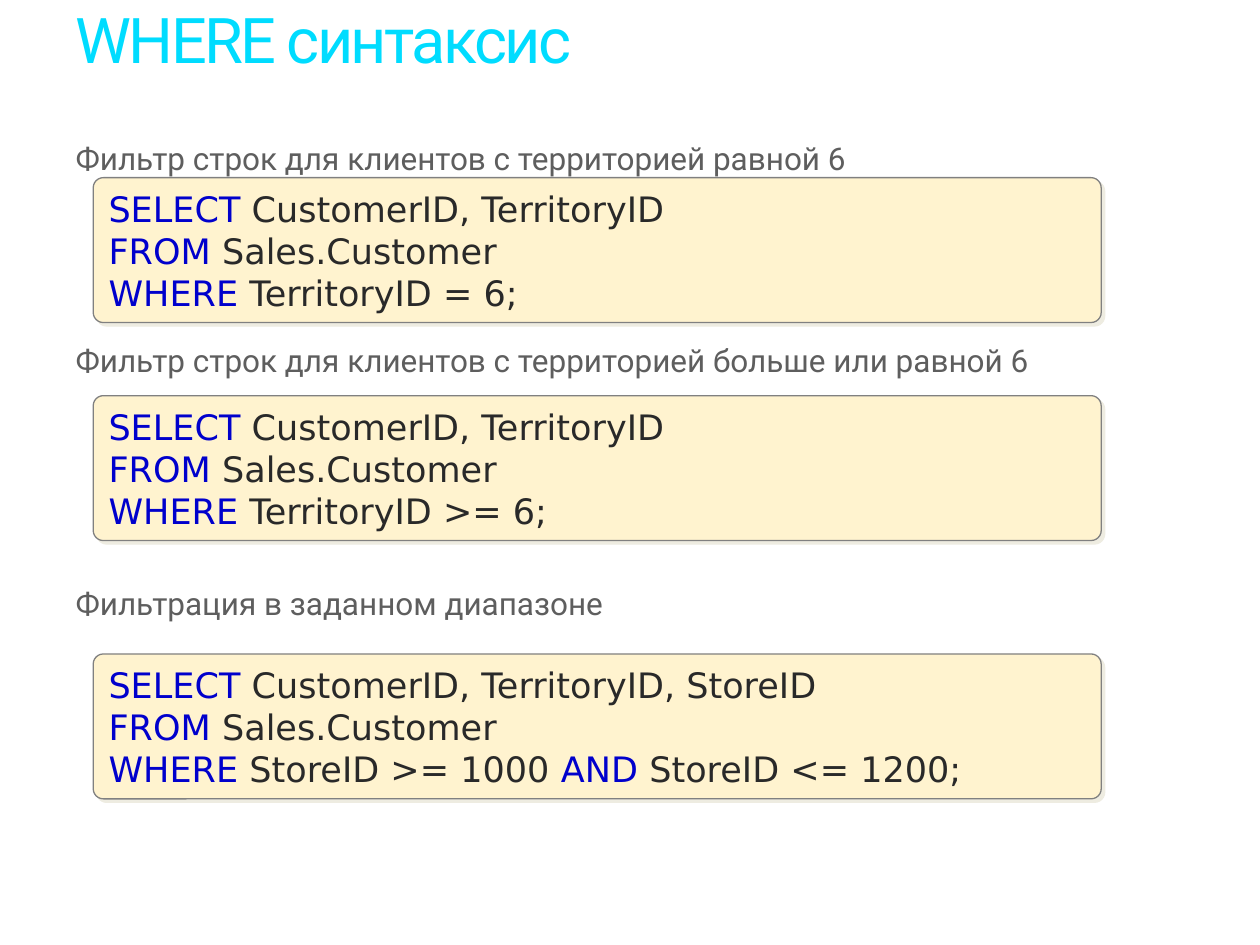
import itertools
import lxml.etree
import pptx
import pptx.dml.color
import pptx.enum.shapes
import pptx.enum.text
import pptx.oxml
import pptx.oxml.ns
import pptx.util

Pt, Inches = pptx.util.Pt, pptx.util.Inches
RGB = pptx.dml.color.RGBColor.from_string
ANCHOR = pptx.enum.text.MSO_ANCHOR
LEFT = pptx.enum.text.PP_ALIGN.LEFT
qn = pptx.oxml.ns.qn

THEME = {
    "title": ("Roboto", 36, "00DCFF"),
    "body": ("Roboto", 18, "5E5E5E"),
    "code": ("DejaVu Sans", 20, "292929"),
    "keyword": ("DejaVu Sans", 20, "0000CC"),
    "box": "FFF3CF",
    "border": "808080",
    "shadow": "EEECE1",
}
KEYWORDS = {"SELECT", "FROM", "WHERE", "AND"}
BODY_STEP, BODY_LINE = 23, 19  # points: row pitch and line height of the list

# Caption, list rows below the previous caption, box top in inches, query
EXAMPLES = [
    ("Фильтр строк для клиентов с территорией равной 6", 0, 1.41,
     ["SELECT CustomerID, TerritoryID", "FROM Sales.Customer",
      "WHERE TerritoryID = 6;"]),
    ("Фильтр строк для клиентов с территорией больше или равной 6", 5, 3.14,
     ["SELECT CustomerID, TerritoryID", "FROM Sales.Customer",
      "WHERE TerritoryID >= 6;"]),
    ("Фильтрация в заданном диапазоне", 6, 5.19,
     ["SELECT CustomerID, TerritoryID, StoreID", "FROM Sales.Customer",
      "WHERE StoreID >= 1000 AND StoreID <= 1200;"]),
]


def style(r, role):
    name, size, color = THEME[role]
    r.font.name, r.font.size = name, Pt(size)
    r.font.color.rgb = RGB(color)


def place(sp, left, top, width, height):
    sp.left, sp.top = Inches(left), Inches(top)
    sp.width, sp.height = Inches(width), Inches(height)


prs = pptx.Presentation()
prs.slide_width, prs.slide_height = Inches(10), Inches(7.5)
s = prs.slides.add_slide(prs.slide_layouts[1])

# Title
title = s.shapes.title
place(title, 0.5, 0, 8.5, 0.81)
tf = title.text_frame
tf.text = "WHERE синтаксис"
tf.vertical_anchor = ANCHOR.TOP
tf.margin_top = Inches(0.07)
tf.auto_size = pptx.enum.text.MSO_AUTO_SIZE.NONE
p = tf.paragraphs[0]
p.alignment, p.line_spacing = LEFT, 0.9
style(p.runs[0], "title")
p.runs[0].font._element.set("spc", "-150")

# Captions, spaced to sit above their code boxes
body = s.placeholders[1]
place(body, 0.5, 1.09, 8.48, 5.79)
tf = body.text_frame
tf.text = "\n".join(example[0] for example in EXAMPLES)
tf.auto_size = pptx.enum.text.MSO_AUTO_SIZE.NONE
for p, (_, rows, _, _) in zip(tf.paragraphs, EXAMPLES):
    p.line_spacing = 0.9
    p.space_before = Pt(max(0, rows * BODY_STEP - BODY_LINE))
    pPr = p._p.get_or_add_pPr()
    pPr.set("marL", "0")
    pPr.set("indent", "0")
    lxml.etree.SubElement(pPr, qn("a:buNone"))
    style(p.runs[0], "body")

# Code boxes
for _, _, top, query in EXAMPLES:
    box = s.shapes.add_shape(pptx.enum.shapes.MSO_SHAPE.ROUNDED_RECTANGLE,
                             Inches(0.74), Inches(top), Inches(8), Inches(1.15))
    box.adjustments[0] = 0.07
    box.fill.solid()
    box.fill.fore_color.rgb = RGB(THEME["box"])
    box.line.color.rgb = RGB(THEME["border"])
    box.line.width = Pt(0.75)

    # Hard shadow to the lower right
    box.shadow.inherit = False
    effects = box._element.spPr.find(qn("a:effectLst"))
    shadow = lxml.etree.SubElement(effects, qn("a:outerShdw"), blurRad="0",
                                   dist=str(Pt(2.8)), dir="2700000", algn="tl",
                                   rotWithShape="0")
    lxml.etree.SubElement(shadow, qn("a:srgbClr"), val=THEME["shadow"])

    # Query with coloured keywords
    tf = box.text_frame
    tf.word_wrap = True
    tf.vertical_anchor = ANCHOR.MIDDLE
    tf.text = "\n".join(query)
    for p, line in zip(tf.paragraphs, query):
        p.clear()
        p.alignment = LEFT
        words = line.split()
        spaced = [word + " " for word in words[:-1]] + words[-1:]
        for is_keyword, group in itertools.groupby(
                spaced, lambda word: word.strip() in KEYWORDS):
            r = p.add_run()
            r.text = "".join(group)
            style(r, "keyword" if is_keyword else "code")

prs.save("out.pptx")
